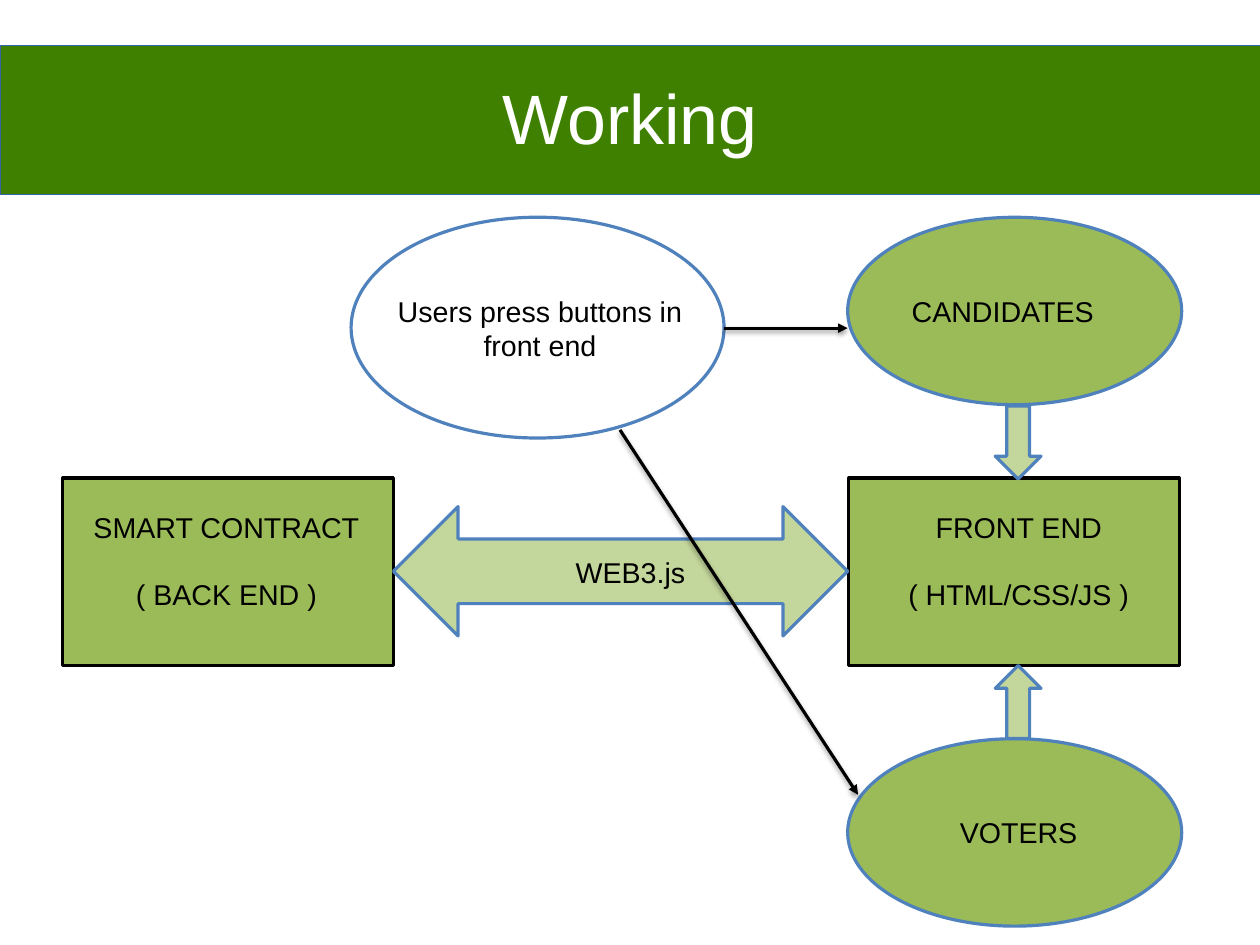
from lxml import etree
from pptx import Presentation
from pptx.dml.color import RGBColor
from pptx.enum import shapes, text
from pptx.oxml import parse_xml
from pptx.oxml.ns import nsdecls, qn
from pptx.util import Pt

BANNER_GREEN = RGBColor(0x3F, 0x80, 0x00)
BANNER_EDGE = RGBColor(0x34, 0x65, 0xA4)
GREEN = RGBColor(0x9B, 0xBB, 0x59)
PALE_GREEN = RGBColor(0xC3, 0xD6, 0x9B)
BLUE = RGBColor(0x4F, 0x81, 0xBD)
BLACK = RGBColor(0, 0, 0)
WHITE = RGBColor(0xFF, 0xFF, 0xFF)

KIND = shapes.MSO_SHAPE
CENTER, LEFT = text.PP_ALIGN.CENTER, text.PP_ALIGN.LEFT
LINE_HEIGHT = 20.7

prs = Presentation()
prs.slide_width, prs.slide_height = Pt(793), Pt(595)
slide = prs.slides.add_slide(prs.slide_layouts[6])


def draw(kind, box, fill, edge, weight=2):
    shape = slide.shapes.add_shape(kind, *map(Pt, box))
    shape.shadow.inherit = False
    shape.fill.solid()
    shape.fill.fore_color.rgb = fill
    shape.line.color.rgb = edge
    shape.line.width = Pt(weight)
    return shape


def write(box, lines, size=18, color=BLACK, align=CENTER):
    """Add a text box without margins; lines stand one empty line apart."""
    frame = slide.shapes.add_textbox(*map(Pt, box)).text_frame
    frame.word_wrap = True
    frame.margin_left = frame.margin_top = frame.margin_right = frame.margin_bottom = 0
    frame.text = "\n".join(lines)
    for number, paragraph in enumerate(frame.paragraphs):
        paragraph.alignment = align
        paragraph.space_before = Pt(LINE_HEIGHT if number else 0)
        paragraph.font.name = "Arial"
        paragraph.font.size = Pt(size)
        paragraph.font.color.rgb = color
    return frame


# Title banner
draw(KIND.RECTANGLE, (0, 28.8, 793.4, 93.6), BANNER_GREEN, BANNER_EDGE, 0.75)
title = write((39.6, 46.8, 714.2, 53.3), ["Working"], 44, WHITE)
title.vertical_anchor = text.MSO_ANCHOR.MIDDLE

# Back end and front end, with the link between them
for left in (39.6, 534.2):
    draw(KIND.RECTANGLE, (left, 301, 208, 118), GREEN, BLACK)
draw(KIND.LEFT_RIGHT_ARROW, (247.6, 319, 285.9, 81.4), PALE_GREEN, BLUE)
back_end = write((51.8, 321.1, 181.4, 65.5), ["SMART CONTRACT", "( BACK END )"])
back_end.paragraphs[1]._p.get_or_add_pPr().set("indent", str(Pt(-10)))
write((551.5, 321.1, 179.3, 65.5), ["FRONT END", "( HTML/CSS/JS )"])
write((308.2, 349.2, 177.1, 21.6), ["WEB3.js"])

# Candidates above and voters below, each pointing at the front end
for name, align, top, label_top, arrow_top, turn in (
    ("CANDIDATES", LEFT, 136.8, 185, 255.6, 0),
    ("VOTERS", CENTER, 465.1, 513.3, 419, 180),
):
    draw(KIND.OVAL, (533.5, top, 210.2, 118), GREEN, BLUE)
    write((573.8, label_top, 134.6, 21.6), [name], align=align)
    draw(KIND.DOWN_ARROW, (626.4, arrow_top, 28.8, 46), PALE_GREEN, BLUE).rotation = turn

# Users, with arrows to candidates and voters
draw(KIND.OVAL, (221, 136.8, 234.7, 139), WHITE, BLUE)
write((247.7, 185, 184.3, 43.9), ["Users press buttons in front end"])
for ends in ((455.7, 206.6, 533.5, 206.6), (390.2, 270.7, 540, 500.4)):
    arrow = slide.shapes.add_connector(shapes.MSO_CONNECTOR.STRAIGHT, *map(Pt, ends))
    arrow.line.color.rgb = BLACK
    arrow.line.width = Pt(2)
    etree.SubElement(arrow.line._get_or_add_ln(), qn("a:tailEnd"), type="triangle")
    arrow._element.spPr.append(parse_xml(
        f'<a:effectLst {nsdecls("a")}>'
        f'<a:outerShdw blurRad="{Pt(3)}" dist="{Pt(1.6)}" dir="5400000" rotWithShape="0">'
        '<a:srgbClr val="000000"><a:alpha val="38000"/></a:srgbClr>'
        '</a:outerShdw></a:effectLst>'
    ))

prs.save("out.pptx")
